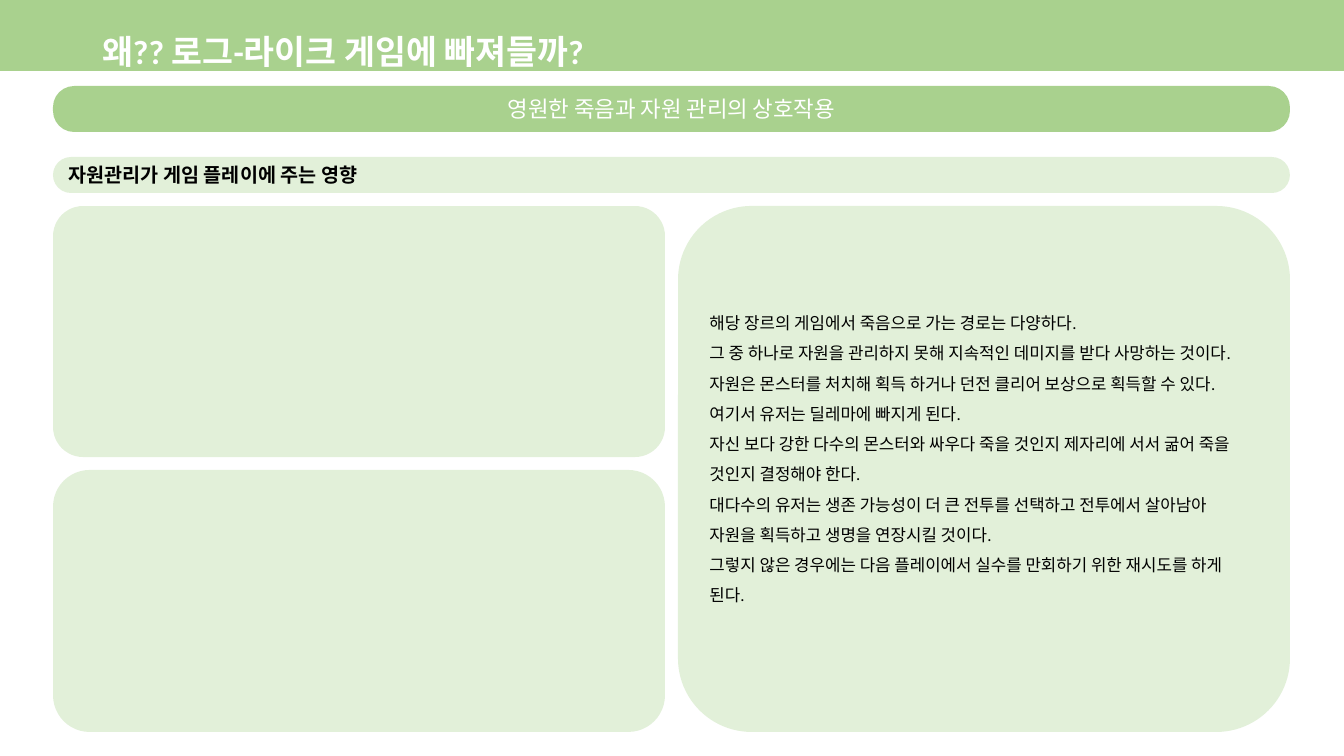
from lxml.etree import SubElement
from pptx import Presentation
from pptx.dml.color import RGBColor
from pptx.enum.shapes import MSO_SHAPE as Shape
from pptx.enum.text import MSO_ANCHOR as Anchor, MSO_AUTO_SIZE as AutoSize, PP_ALIGN as Align
from pptx.oxml.ns import qn
from pptx.util import Emu, Pt

COLORS = {"green": "A9D18E", "pale": "E2F0D9", "white": "FFFFFF", "black": "000000"}
FONT = "Calibri"
EMU_PER_PX = 914400 / 100.8
LEFT, WIDTH, GAP = 53, 1237, 13
COLUMN = (WIDTH - GAP) // 2
PANEL_TOP, PANEL_BOTTOM = 206, 732
UPPER_HEIGHT = 251
LOWER_TOP = PANEL_TOP + UPPER_HEIGHT + GAP


def px(length):
    return Emu(round(length * EMU_PER_PX))


def add_block(kind, left, top, width, height, color, rounding=None):
    block = page.shapes.add_shape(kind, px(left), px(top), px(width), px(height))
    block.shadow.inherit = False
    block.fill.solid()
    block.fill.fore_color.rgb = RGBColor.from_string(COLORS[color])
    block.line.fill.background()
    if rounding is not None:
        block.adjustments[0] = rounding
    return block


deck = Presentation()
deck.slide_width, deck.slide_height = px(1344), px(756)
page = deck.slides.add_slide(deck.slide_layouts[5])

header = add_block(Shape.RECTANGLE, 0, 0, 1344, 71, "green")
lower_panel = add_block(Shape.ROUNDED_RECTANGLE, LEFT, LOWER_TOP, COLUMN,
                        PANEL_BOTTOM - LOWER_TOP, "pale", 0.14)
upper_panel = add_block(Shape.ROUNDED_RECTANGLE, LEFT, PANEL_TOP, COLUMN,
                        UPPER_HEIGHT, "pale", 0.12)
section = add_block(Shape.ROUNDED_RECTANGLE, LEFT, 157, WIDTH, 36, "pale", 0.5)
explanation = add_block(Shape.ROUNDED_RECTANGLE, LEFT + COLUMN + GAP, PANEL_TOP, COLUMN,
                        PANEL_BOTTOM - PANEL_TOP, "pale", 0.14)
subtitle = add_block(Shape.ROUNDED_RECTANGLE, LEFT, 86, WIDTH, 46, "green", 0.46)

title = page.shapes.title
title.left, title.top, title.width, title.height = px(92), px(15), px(1159), px(52)
header.element.addnext(title.element)

explanation_lines = [
    "해당 장르의 게임에서 죽음으로 가는 경로는 다양하다.",
    "그 중 하나로 자원을 관리하지 못해 지속적인 데미지를 받다 사망하는 것이다.",
    "자원은 몬스터를 처치해 획득 하거나 던전 클리어 보상으로 획득할 수 있다.",
    "여기서 유저는 딜레마에 빠지게 된다.",
    "자신 보다 강한 다수의 몬스터와 싸우다 죽을 것인지 제자리에 서서 굶어 죽을 것인지 결정해야 한다.",
    "대다수의 유저는 생존 가능성이 더 큰 전투를 선택하고 전투에서 살아남아 자원을 획득하고 생명을 연장시킬 것이다.",
    "그렇지 않은 경우에는 다음 플레이에서 실수를 만회하기 위한 재시도를 하게 된다.",
]
texts = [
    (title, ["왜?? 로그-라이크 게임에 빠져들까?"], 24, "white", True, Align.LEFT, 1.5),
    (section, ["자원관리가 게임 플레이에 주는 영향"], 14, "black", True, Align.LEFT, 1),
    (explanation, explanation_lines, 12, "black", False, Align.LEFT, 1.5),
    (subtitle, ["영원한 죽음과 자원 관리의 상호작용"], 16, "white", False, Align.CENTER, 1),
]
for box, lines, size, color, bold, align, spacing in texts:
    frame = box.text_frame
    frame.text = "\n".join(lines)
    frame.word_wrap = True
    frame.auto_size = AutoSize.NONE
    frame.vertical_anchor = Anchor.MIDDLE
    for para in frame.paragraphs:
        para.alignment = align
        para.line_spacing = spacing
        para.font.name = FONT
        para.font.size = Pt(size)
        para.font.bold = bold
        para.font.color.rgb = RGBColor.from_string(COLORS[color])
        defaults = para._p.pPr.find(qn("a:defRPr"))
        SubElement(defaults, qn("a:ea"), typeface=FONT)
explanation.text_frame.margin_bottom = px(35)
explanation.text_frame.margin_right = px(20)

deck.save("out.pptx")
